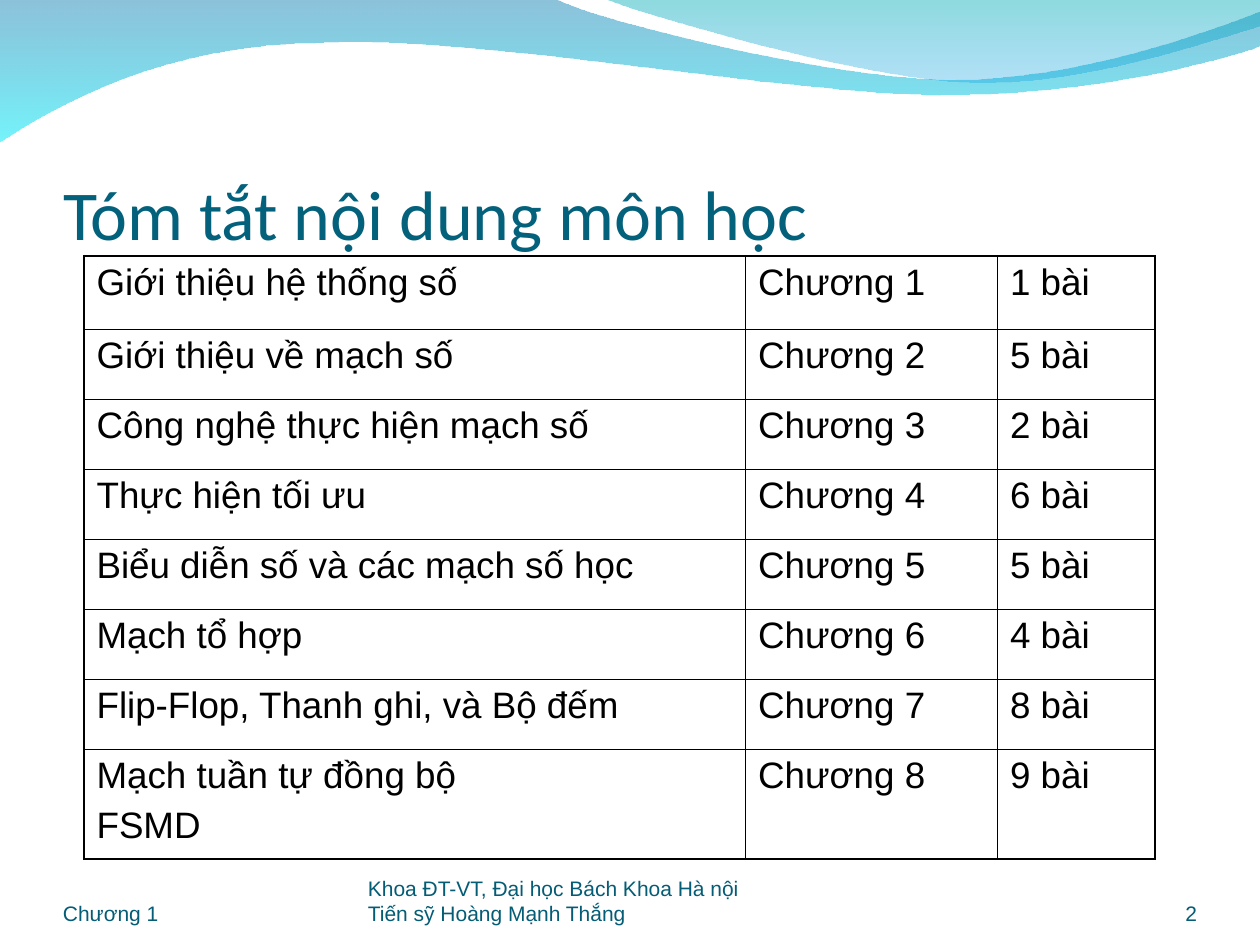
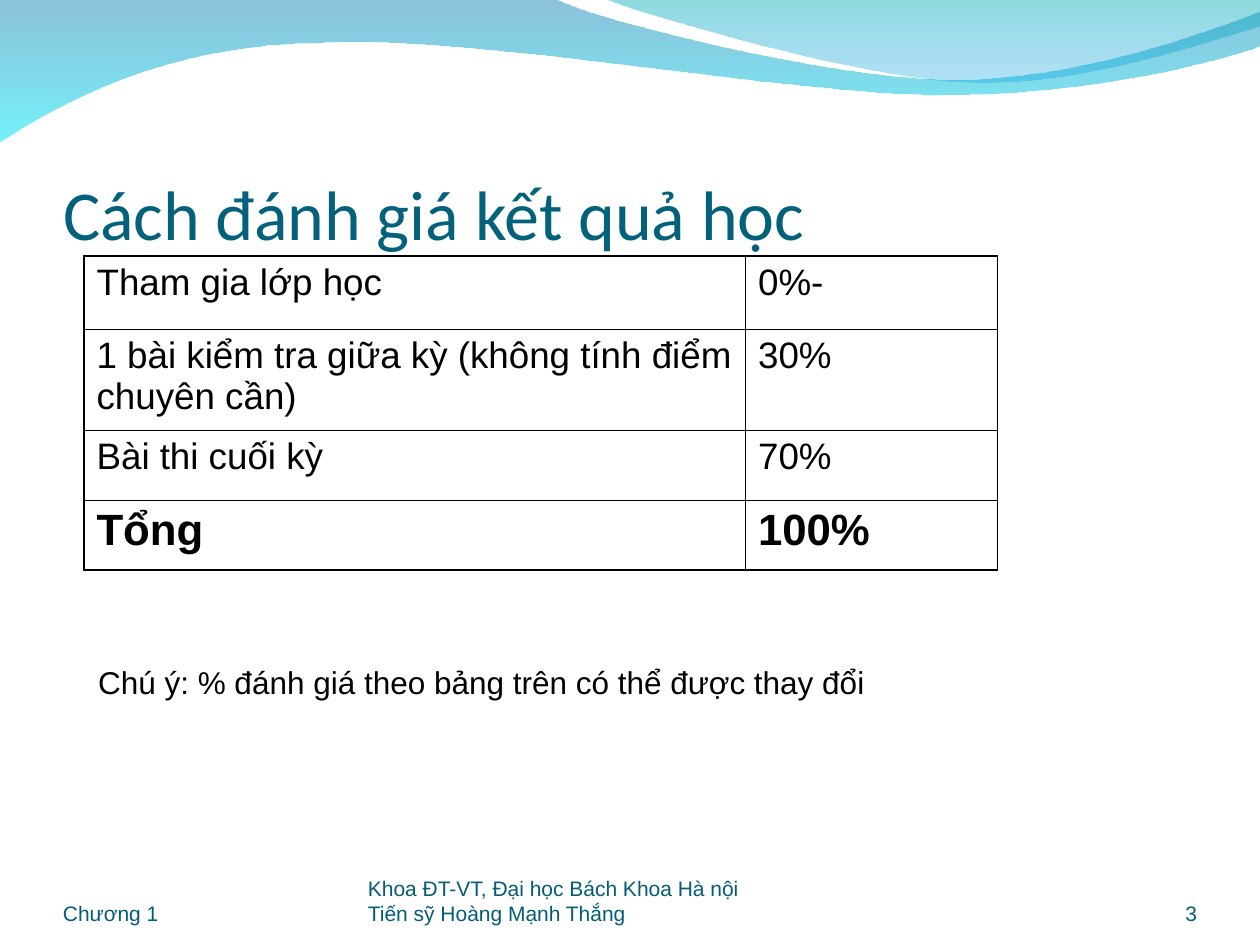
from lxml.etree import SubElement
from pptx import Presentation
from pptx.dml.color import RGBColor
from pptx.enum.text import MSO_ANCHOR as Anchor, MSO_AUTO_SIZE as AutoSize, PP_ALIGN as Align
from pptx.oxml import parse_xml
from pptx.oxml.ns import nsdecls, qn
from pptx.util import Inches, Pt

COLORS = {
    "title": "04617B",
    "footer": "045C75",
    "text": "000000",
}
THICK, THIN = 1.08, 0.45
FIRST_ROW, ROW = 7 / 12, 5 / 9

# Each wave: start point, segments (2 numbers: line, 6 numbers: curve), gradient stops
WAVES = [
    ((0, -0.01),
     [(4.4, -0.01), (4.76, 0.17, 6.64, 0.63, 7.58, 0.63), (8.53, 0.63, 9.58, 0.26, 10, 0.09),
      (10.01, 0.36), (9.83, 0.44, 8.7, 0.76, 7.46, 0.75), (6.22, 0.75, 3.82, 0.28, 2.57, 0.34),
      (1.29, 0.35, 0.46, 0.83, -0.01, 1.13), (0, -0.01)],
     [("0079AF", 45), ("00EBF8", 55)]),
    ((4.79, -0.01),
     [(5.09, 0.11, 6.82, 0.62, 7.69, 0.65), (8.56, 0.69, 9.61, 0.32, 10, 0.21), (10, 0),
      (4.79, -0.01)],
     [("00ADB6", 45), ("009BE5", 30)]),
]

FOOTERS = [  # left, width, alignment, text
    (8.67, 0.83, Align.RIGHT, "{number}"),
    (2.92, 3.67, Align.LEFT, "Khoa ĐT-VT, Đại học Bách Khoa Hà nội\vTiến sỹ Hoàng Mạnh Thắng"),
    (0.5, 2.33, Align.LEFT, "Chương 1"),
]

SLIDES = [
    {
        "number": 2,
        "title": "Tóm tắt nội dung môn học",
        "columns": [5.25, 2, 1.25],
        "row_heights": [FIRST_ROW] + [ROW] * 6 + [0.87],
        "rows": [
            ("Giới thiệu hệ thống số", "Chương 1", "1 bài"),
            ("Giới thiệu về mạch số", "Chương 2", "5 bài"),
            ("Công nghệ thực hiện mạch số", "Chương 3", "2 bài"),
            ("Thực hiện tối ưu", "Chương 4", "6 bài"),
            ("Biểu diễn số và các mạch số học", "Chương 5", "5 bài"),
            ("Mạch tổ hợp", "Chương 6", "4 bài"),
            ("Flip-Flop, Thanh ghi, và Bộ đếm", "Chương 7", "8 bài"),
            ("Mạch tuần tự đồng bộ\nFSMD", "Chương 8", "9 bài"),
        ],
    },
    {
        "number": 3,
        "title": "Cách đánh giá kết quả học",
        "columns": [5.25, 2],
        "row_heights": [FIRST_ROW, 0.8, ROW, ROW],
        "rows": [
            ("Tham gia lớp học", "0%-"),
            ("1 bài kiểm tra giữa kỳ (không tính điểm chuyên cần)", "30%"),
            ("Bài thi cuối kỳ", "70%"),
            ("Tổng", "100%"),
        ],
        "note": "Chú ý: % đánh giá theo bảng trên có thể được thay đổi",
    },
]


def style_text(text_frame, size, color, name="Arial", bold=False, align=Align.LEFT):
    for paragraph in text_frame.paragraphs:
        paragraph.alignment = align
        font = paragraph.font
        font.name, font.size, font.bold = name, Pt(size), bold
        font.color.rgb = RGBColor.from_string(COLORS[color])


def set_borders(cell, widths):
    """Widths in points: left, right, top, bottom."""
    properties = cell._tc.get_or_add_tcPr()
    for index, (side, width) in enumerate(zip("LRTB", widths)):
        properties.insert(index, parse_xml(
            f'<a:ln{side} {nsdecls("a")} w="{Pt(width)}"><a:solidFill>'
            f'<a:srgbClr val="{COLORS["text"]}"/></a:solidFill></a:ln{side}>'))


presentation = Presentation()
presentation.slide_width, presentation.slide_height = Inches(10), Inches(7.5)
layout = presentation.slide_layouts[5]

for content in SLIDES:
    slide = presentation.slides.add_slide(layout)

    # Waves: drawn once, then moved to the shared layout
    if content is SLIDES[0]:
        for wave_index, (start, segments, stops) in enumerate(WAVES):
            points = [(Inches(x), Inches(y)) for segment in segments
                      for x, y in zip(segment[::2], segment[1::2])]
            builder = slide.shapes.build_freeform(Inches(start[0]), Inches(start[1]))
            builder.add_line_segments(points, close=True)
            wave = builder.convert_to_shape()

            # Join each three lines of a curve into one Bezier segment
            lines = iter(list(wave.element.iter(qn("a:lnTo"))))
            for segment in segments:
                line = next(lines)
                if len(segment) == 6:
                    line.tag = qn("a:cubicBezTo")
                    for _ in range(2):
                        extra = next(lines)
                        line.append(extra[0])
                        extra.getparent().remove(extra)

            wave.shadow.inherit = False
            wave.line.fill.background()
            wave.fill.gradient()
            wave.fill.gradient_angle = 270
            for stop, (color, _) in zip(wave.fill.gradient_stops, stops):
                stop.color.rgb = RGBColor.from_string(color)
            for color_element, (_, opacity) in zip(wave.element.iter(qn("a:srgbClr")), stops):
                SubElement(color_element, qn("a:alpha"), val=str(opacity * 1000))
            wave.element.nvSpPr.cNvPr.set("id", str(20 + wave_index))
            layout.placeholders[0].element.addprevious(wave.element)

    # Title
    title = slide.shapes.title
    title.left, title.top, title.width, title.height = map(Inches, (0.5, 0.77, 9, 1.25))
    frame = title.text_frame
    frame.text = content["title"]
    frame.auto_size = AutoSize.NONE
    frame.vertical_anchor = Anchor.BOTTOM
    frame.margin_left = frame.margin_right = frame.margin_bottom = 0
    frame.margin_top = Inches(0.05)
    style_text(frame, 40, "title", "Calibri")

    # Table with a thick frame and thin inner lines
    rows, columns, heights = content["rows"], content["columns"], content["row_heights"]
    table = slide.shapes.add_table(
        len(rows), len(columns), Inches(2 / 3), Inches(2.03),
        Inches(sum(columns)), Inches(sum(heights))).table
    table.first_row = table.horz_banding = False
    for column, width in zip(table.columns, columns):
        column.width = Inches(width)
    for row_index, (values, height) in enumerate(zip(rows, heights)):
        table.rows[row_index].height = Inches(height)
        is_total = values[0] == "Tổng"
        for column_index, value in enumerate(values):
            cell = table.cell(row_index, column_index)
            cell.text = value
            cell.fill.background()
            style_text(cell.text_frame, 25 if is_total else 21, "text", bold=is_total)
            for paragraph in cell.text_frame.paragraphs[1:]:
                paragraph.space_before = Pt(5.2)
            on_frame = (column_index == 0, column_index == len(columns) - 1,
                        row_index == 0, row_index == len(rows) - 1)
            set_borders(cell, [THICK if edge else THIN for edge in on_frame])

    # Note under the table
    if "note" in content:
        note = slide.shapes.add_textbox(Inches(0.68), Inches(5.21), Inches(6.35), Inches(0.4))
        note.text_frame.text = content["note"]
        note.text_frame.word_wrap = True
        style_text(note.text_frame, 18, "text")

    # Footer
    for left, width, align, text in FOOTERS:
        footer = slide.shapes.add_textbox(Inches(left), Inches(6.95), Inches(width), Inches(0.4))
        frame = footer.text_frame
        frame.text = text.format(number=content["number"])
        frame.word_wrap = True
        frame.vertical_anchor = Anchor.BOTTOM
        frame.margin_left = frame.margin_right = frame.margin_top = frame.margin_bottom = 0
        style_text(frame, 12, "footer", align=align)

presentation.save("out.pptx")
